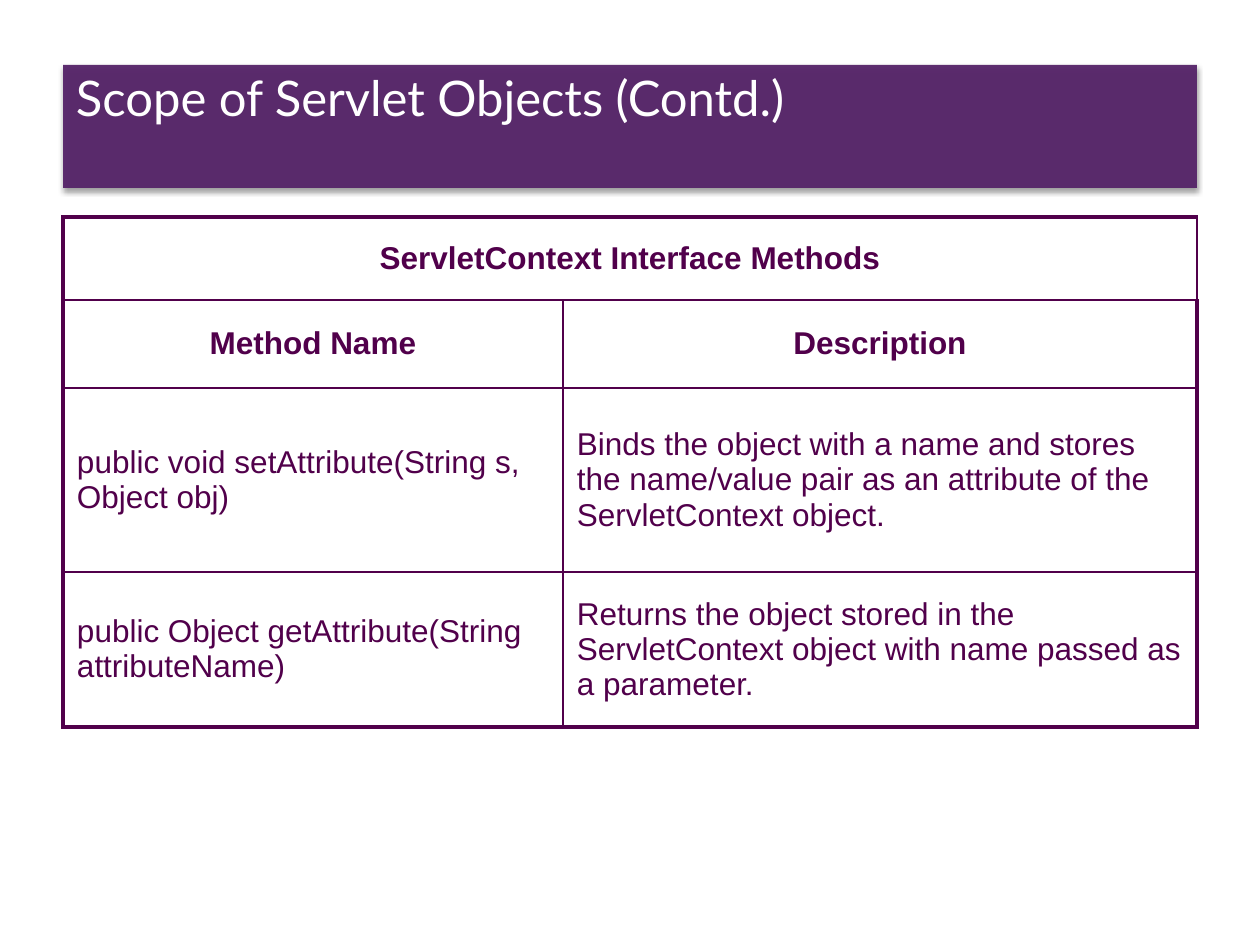
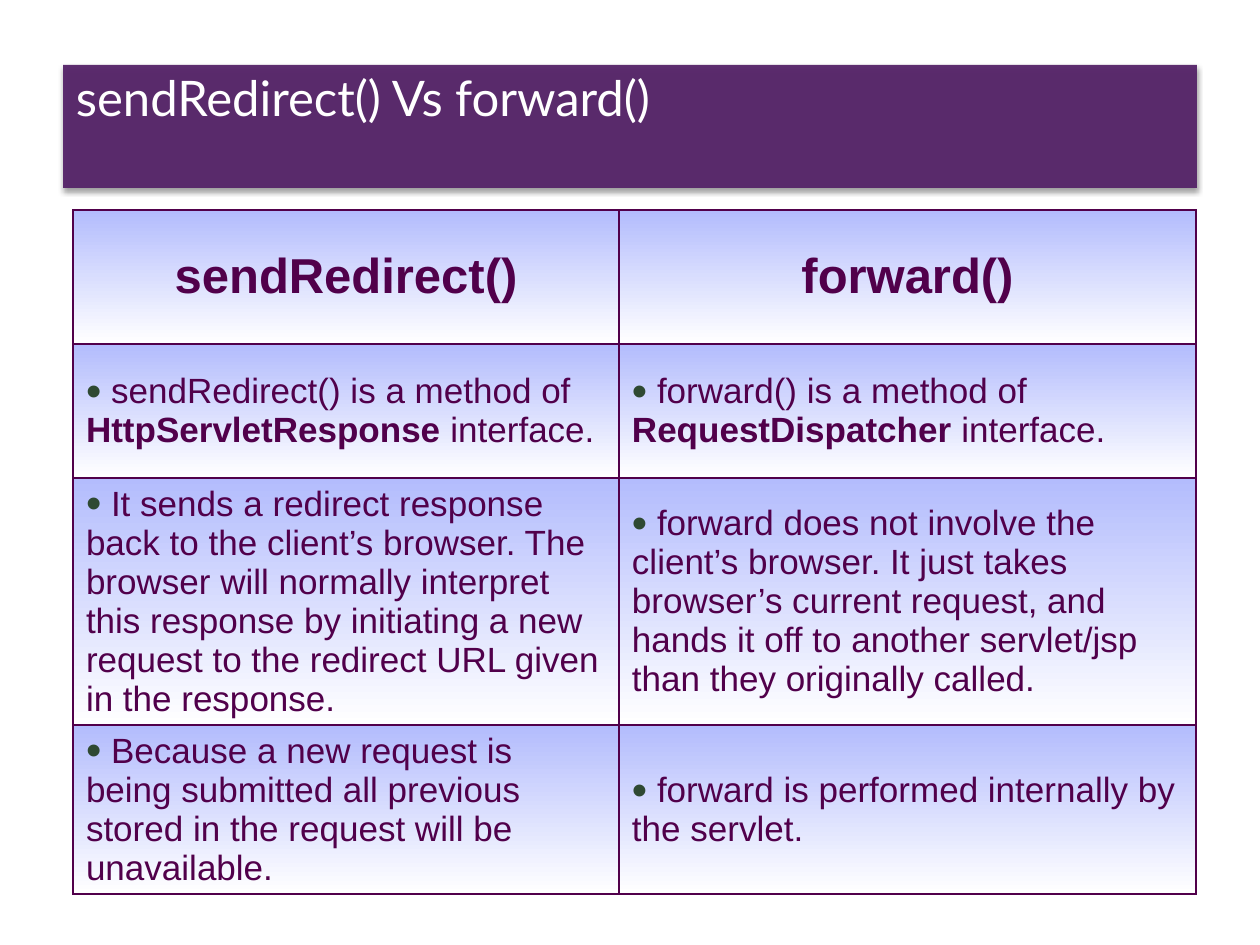
"""Build two slides comparing servlet methods in tables."""
import dataclasses

import lxml.etree
import pptx
import pptx.dml.color
import pptx.enum.text
import pptx.oxml.ns
import pptx.util

SCOPE = {
    "title": "Scope of Servlet Objects (Contd.)",
    "origin": (63, 217),
    "columns": (500, 634),
    "rows": (83, 88, 184, 155),
    "heading_rows": 2,
    "merged_top": True,
    "side_margin": 14,
    "heading_size": 18,
    "text_size": 18,
    "outer_line": 2.25,
    "shaded": False,
    "bulleted": False,
    "cells": [
        ("ServletContext Interface Methods", ""),
        ("Method Name", "Description"),
        ("public void setAttribute(String s, Object obj)",
         "Binds the object with a name and stores the name/value pair as an "
         "attribute of the ServletContext object."),
        ("public Object getAttribute(String attributeName)",
         "Returns the object stored in the ServletContext object with name "
         "passed as a parameter."),
    ],
}

REDIRECT = {
    "title": "sendRedirect() Vs forward()",
    "origin": (73, 210),
    "columns": (546, 577),
    "rows": (134, 134, 247, 169),
    "heading_rows": 1,
    "merged_top": False,
    "side_margin": 13,
    "heading_size": 28,
    "text_size": 20,
    "outer_line": 1,
    "shaded": True,
    "bulleted": True,
    "cells": [
        ("sendRedirect()", "forward()"),
        (" sendRedirect() is a method of **HttpServletResponse** interface.",
         " forward() is a method of **RequestDispatcher** interface."),
        (" It sends a redirect response back to the client’s browser. The "
         "browser will normally interpret this response by initiating a new "
         "request to the redirect URL given in the response.",
         " forward does not involve the client’s browser. It just takes "
         "browser’s current request, and hands it off to another servlet/jsp "
         "than they originally called."),
        (" Because a new request is being submitted all previous stored in "
         "the request will be unavailable.",
         " forward is performed internally by the servlet."),
    ],
}


@dataclasses.dataclass(frozen=True)
class Theme:
    """Colours, fonts and sizes shared by the slides."""
    ink: str = "51004B"
    band: str = "562469"
    band_opacity: int = 95
    title_ink: str = "FFFFFF"
    shade: tuple = ("B3BCFD", "FFFFFF")
    bullet: str = "2F4932"
    bullet_percent: int = 125
    title_font: str = "Lato"
    table_font: str = "Arial"
    title_size: int = 28
    inner_line: float = 1


THEME = Theme()
BAND = (63, 65, 1134, 123)
SLIDE_SIZE = (1260, 945)
PX_PER_INCH = 126


def px(length):
    """Turn px into EMU."""
    return pptx.util.Emu(round(length * 914400 / PX_PER_INCH))


def rgb(colour):
    """Turn a hex string into a colour."""
    return pptx.dml.color.RGBColor.from_string(colour)


def add_xml(parent, tag, **attributes):
    """Append a DrawingML element and return it."""
    return lxml.etree.SubElement(parent, pptx.oxml.ns.qn(f"a:{tag}"),
                                 {key: str(value) for key, value in attributes.items()})


def set_font(paragraph, name, size, colour, bold=None):
    """Set the font of a whole paragraph."""
    font = paragraph.font
    font.name, font.size, font.bold = name, pptx.util.Pt(size), bold
    font.color.rgb = rgb(colour)


def set_title(slide, text):
    """Fill the title placeholder and draw it as a shadowed band."""
    title = slide.shapes.title
    title.left, title.top, title.width, title.height = map(px, BAND)
    title.fill.solid()
    title.fill.fore_color.rgb = rgb(THEME.band)
    properties = title.element.spPr
    band_colour = properties.find(".//" + pptx.oxml.ns.qn("a:srgbClr"))
    add_xml(band_colour, "alpha", val=THEME.band_opacity * 1000)
    title.line.fill.background()
    shadow = add_xml(add_xml(properties, "effectLst"), "outerShdw",
                     blurRad=40000, dist=20000, dir=5400000, rotWithShape=0)
    add_xml(add_xml(shadow, "srgbClr", val="000000"), "alpha", val=38000)

    frame = title.text_frame
    frame.text = text
    frame.auto_size = pptx.enum.text.MSO_AUTO_SIZE.NONE
    frame.word_wrap = True
    frame.vertical_anchor = pptx.enum.text.MSO_ANCHOR.TOP
    frame.margin_left = frame.margin_right = px(13)
    frame.margin_top, frame.margin_bottom = 0, px(6)
    heading = frame.paragraphs[0]
    heading.alignment = pptx.enum.text.PP_ALIGN.LEFT
    heading.line_spacing = 1.05
    set_font(heading, THEME.title_font, THEME.title_size, THEME.title_ink)


def set_borders(cell, widths):
    """Draw the four cell sides, given as side letter and points."""
    properties = cell._tc.get_or_add_tcPr()
    for side, width in widths.items():
        line = add_xml(properties, f"ln{side}", w=pptx.util.Pt(width))
        add_xml(add_xml(line, "solidFill"), "srgbClr", val=THEME.ink)


def set_fill(cell, shaded):
    """Shade a cell from top to bottom, or leave it clear."""
    if not shaded:
        cell.fill.background()
        return
    cell.fill.gradient()
    cell.fill.gradient_angle = 270
    for stop, colour in zip(cell.fill.gradient_stops, THEME.shade):
        stop.color.rgb = rgb(colour)


def add_bullet(paragraph):
    """Give a paragraph an inline bullet."""
    properties = paragraph._p.get_or_add_pPr()
    add_xml(add_xml(properties, "buClr"), "srgbClr", val=THEME.bullet)
    add_xml(properties, "buSzPct", val=THEME.bullet_percent * 1000)
    add_xml(properties, "buFont", typeface=THEME.table_font)
    add_xml(properties, "buChar", char="•")


def set_text(cell, text, is_heading, content):
    """Write a cell, with words between ** in bold."""
    paragraph = cell.text_frame.paragraphs[0]
    if is_heading:
        paragraph.alignment = pptx.enum.text.PP_ALIGN.CENTER
    elif content["bulleted"]:
        add_bullet(paragraph)
    size = content["heading_size" if is_heading else "text_size"]
    set_font(paragraph, THEME.table_font, size, THEME.ink, is_heading)
    for index, part in enumerate(text.split("**")):
        run = paragraph.add_run()
        run.text = part
        if index % 2:
            run.font.bold = True


def add_methods(slide, content):
    """Add the table of methods."""
    columns, rows = content["columns"], content["rows"]
    table = slide.shapes.add_table(
        len(rows), len(columns), *map(px, content["origin"]),
        px(sum(columns)), px(sum(rows))).table
    table.first_row = table.horz_banding = False
    for column, width in zip(table.columns, columns):
        column.width = px(width)
    for row, height in zip(table.rows, rows):
        row.height = px(height)
    if content["merged_top"]:
        table.cell(0, 0).merge(table.cell(0, len(columns) - 1))

    outer, inner = content["outer_line"], THEME.inner_line
    for r, texts in enumerate(content["cells"]):
        for c, text in enumerate(texts):
            cell = table.cell(r, c)
            set_borders(cell, {
                "L": outer if c == 0 else inner,
                "R": outer if c == len(columns) - 1 else inner,
                "T": outer if r == 0 else inner,
                "B": outer if r == len(rows) - 1 else inner,
            })
            set_fill(cell, content["shaded"])
            cell.vertical_anchor = pptx.enum.text.MSO_ANCHOR.MIDDLE
            cell.margin_left = cell.margin_right = px(content["side_margin"])
            cell.margin_top = cell.margin_bottom = px(6)
            if text:
                set_text(cell, text, r < content["heading_rows"], content)


def main():
    """Build and save the slides."""
    deck = pptx.Presentation()
    deck.slide_width, deck.slide_height = map(px, SLIDE_SIZE)
    title_only = deck.slide_layouts[5]
    for content in (SCOPE, REDIRECT):
        slide = deck.slides.add_slide(title_only)
        set_title(slide, content["title"])
        add_methods(slide, content)
    deck.save("out.pptx")


if __name__ == "__main__":
    main()
